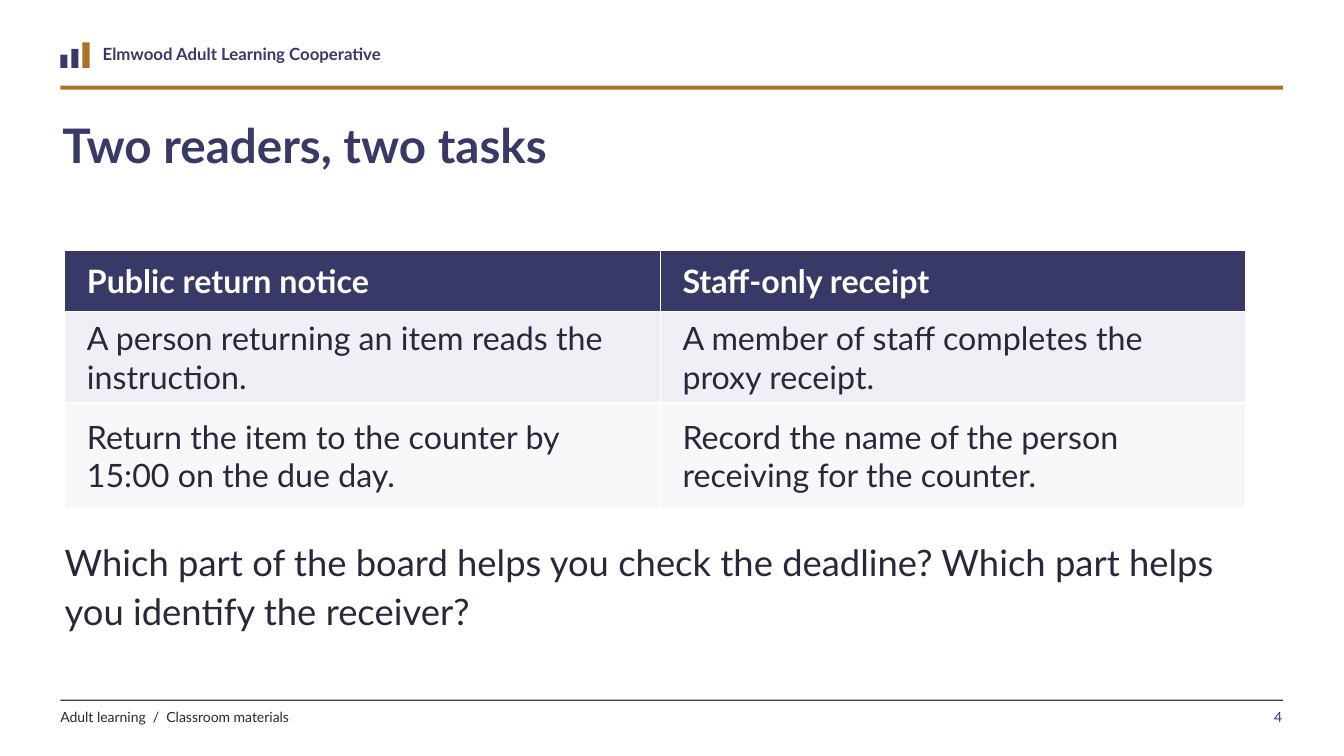
from pptx import Presentation
from pptx.dml.color import RGBColor
from pptx.enum.shapes import MSO_SHAPE as SHAPE
from pptx.enum.text import MSO_ANCHOR as ANCHOR, PP_ALIGN as ALIGN
from pptx.oxml import parse_xml
from pptx.oxml.ns import nsdecls
from pptx.util import Cm, Pt

FONT = "Lato"
COLORS = {
    "indigo": "393967", "ochre": "A87323", "ink": "29283A",
    "white": "FFFFFF", "lilac": "F0EFF5", "pale": "F8F7FA",
}
LEFT, WIDTH = 1.52, 30.81
BODY_LEFT, BODY_WIDTH = 1.63, 29.77

BAR_WIDTH, BAR_STEP, BAR_BASE = 0.18, 0.28, 1.71
BARS = [(0.33, "indigo"), (0.48, "indigo"), (0.64, "ochre")]
RULES = [(2.16, 0.1, "ochre"), (17.63, 0.03, "indigo")]

TEXTS = [
    ("Elmwood Adult Learning Cooperative", (2.59, 1.09, 15.24, 0.71),
     dict(size=12, color="indigo", bold=True)),
    ("Two readers, two tasks", (1.57, 2.92, 30.48, 2.67),
     dict(size=34, color="indigo", bold=True)),
    ("Which part of the board helps you check the deadline? "
     "Which part helps you identify the receiver?",
     (BODY_LEFT, 13.49, BODY_WIDTH, 3.25),
     dict(size=26, color="ink", spacing=1.12)),
    ("Adult learning  /  Classroom materials", (LEFT, 17.86, 17.78, 0.58),
     dict(size=10, color="ink")),
    ("4", (30.1, 17.86, 2.21, 0.64),
     dict(size=10, color="indigo", align=ALIGN.RIGHT)),
]

TABLE_TOP = 6.3
COL_WIDTHS = [15.01, 14.76]
ROWS = [
    (1.55, "indigo", "white", True,
     ["Public return notice", "Staff-only receipt"]),
    (2.26, "lilac", "ink", False,
     ["A person returning an item reads the instruction.",
      "A member of staff completes the proxy receipt."]),
    (2.67, "pale", "ink", False,
     ["Return the item to the counter by 15:00 on the due day.",
      "Record the name of the person receiving for the counter."]),
]


def rgb(name):
    return RGBColor.from_string(COLORS[name])


def add_run(p, text, size, color, bold=False):
    r = p.add_run()
    r.text = text
    r.font.name = FONT
    r.font.size = Pt(size)
    r.font.bold = bold
    r.font.color.rgb = rgb(color)


def add_rect(s, box, color):
    sp = s.shapes.add_shape(SHAPE.RECTANGLE, *map(Cm, box))
    sp.shadow.inherit = False
    sp.fill.solid()
    sp.fill.fore_color.rgb = rgb(color)
    sp.line.fill.background()


def add_text(s, text, box, size, color, bold=False, spacing=1.0, align=ALIGN.LEFT):
    tf = s.shapes.add_textbox(*map(Cm, box)).text_frame
    tf.word_wrap = True
    tf.margin_left = tf.margin_right = tf.margin_top = tf.margin_bottom = 0
    p = tf.paragraphs[0]
    p.alignment = align
    p.line_spacing = spacing
    add_run(p, text, size, color, bold)


def add_borders(cell):
    tc_pr = cell._tc.get_or_add_tcPr()
    for i, side in enumerate(("lnL", "lnR", "lnT", "lnB")):
        tc_pr.insert(i, parse_xml(
            f'<a:{side} {nsdecls("a")} w="{Pt(1)}"><a:solidFill>'
            f'<a:srgbClr val="{COLORS["white"]}"/></a:solidFill></a:{side}>'))


def add_tasks_table(s):
    height = sum(row[0] for row in ROWS)
    box = (BODY_LEFT, TABLE_TOP, BODY_WIDTH, height)
    table = s.shapes.add_table(len(ROWS), len(COL_WIDTHS), *map(Cm, box)).table
    for column, width in zip(table.columns, COL_WIDTHS):
        column.width = Cm(width)
    for row, (height, fill, color, bold, texts) in zip(table.rows, ROWS):
        row.height = Cm(height)
        for cell, text in zip(row.cells, texts):
            cell.fill.solid()
            cell.fill.fore_color.rgb = rgb(fill)
            cell.vertical_anchor = ANCHOR.MIDDLE
            cell.margin_left = cell.margin_right = Cm(0.56)
            cell.margin_top = cell.margin_bottom = Cm(0.18)
            add_run(cell.text_frame.paragraphs[0], text, 23, color, bold)
            add_borders(cell)


def main():
    prs = Presentation()
    prs.slide_width, prs.slide_height = Cm(33.87), Cm(19.05)
    s = prs.slides.add_slide(prs.slide_layouts[6])
    for i, (height, color) in enumerate(BARS):
        add_rect(s, (LEFT + i * BAR_STEP, BAR_BASE - height, BAR_WIDTH, height), color)
    for top, height, color in RULES:
        add_rect(s, (LEFT, top, WIDTH, height), color)
    for text, box, style in TEXTS:
        add_text(s, text, box, **style)
    add_tasks_table(s)
    prs.save("out.pptx")


if __name__ == "__main__":
    main()
